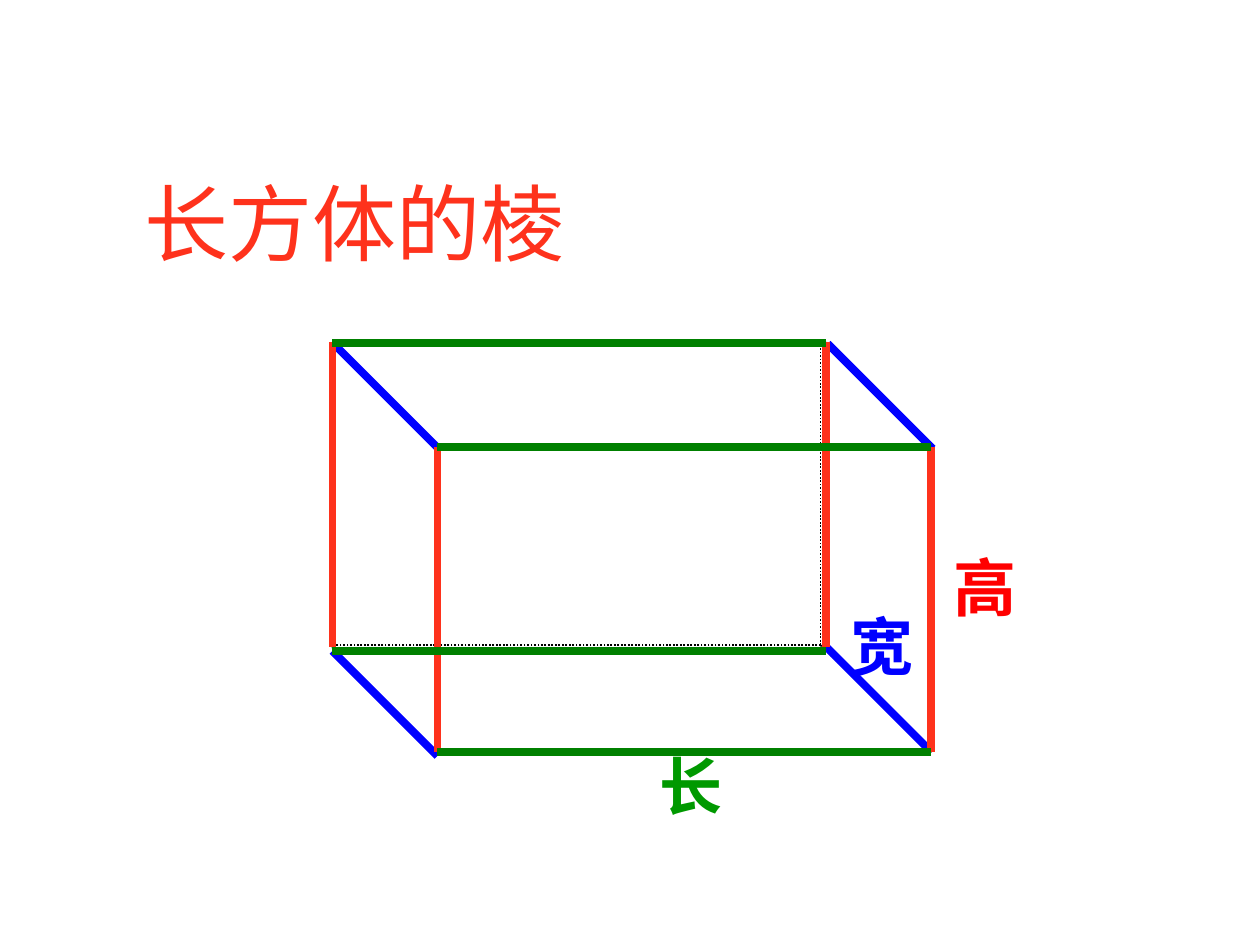
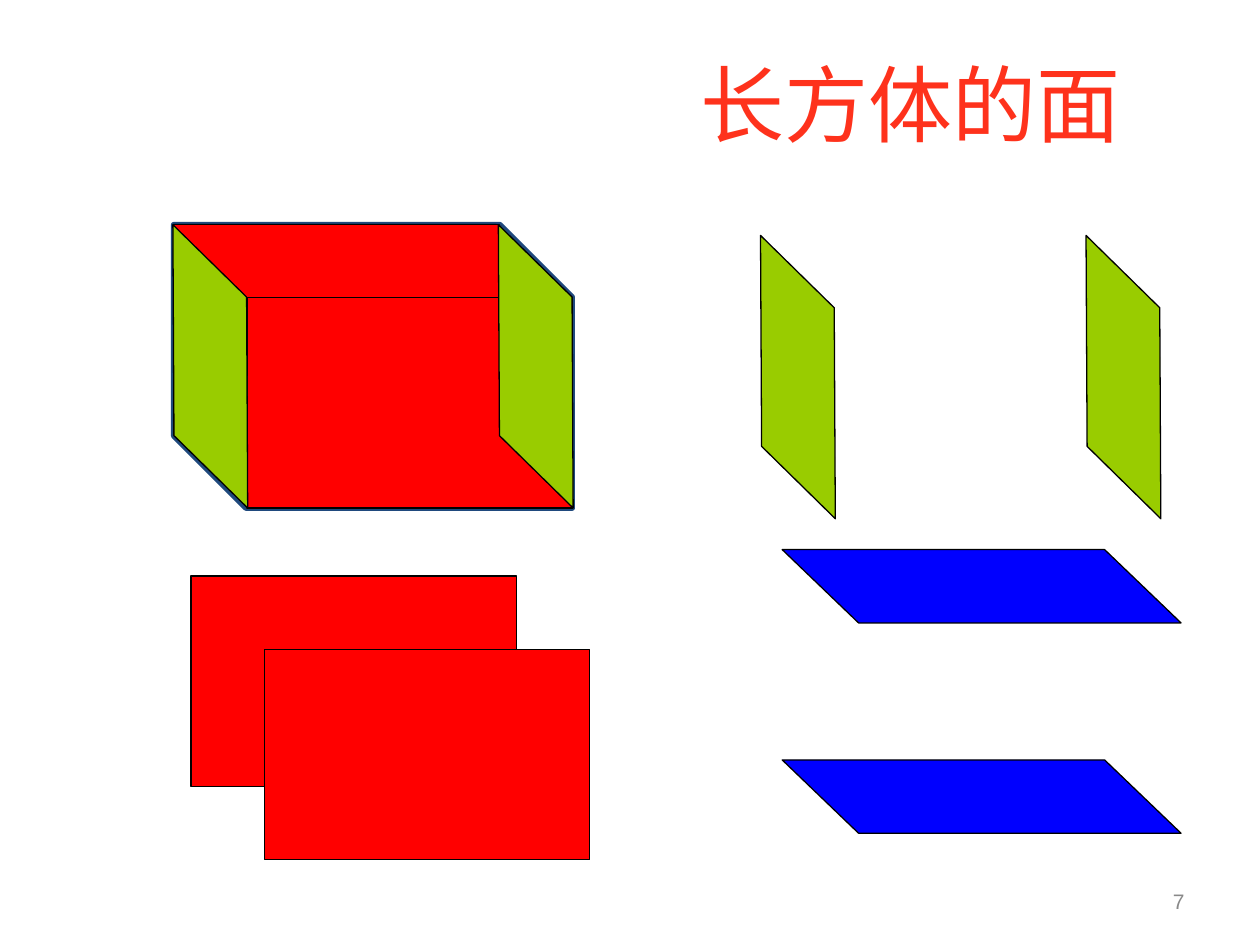
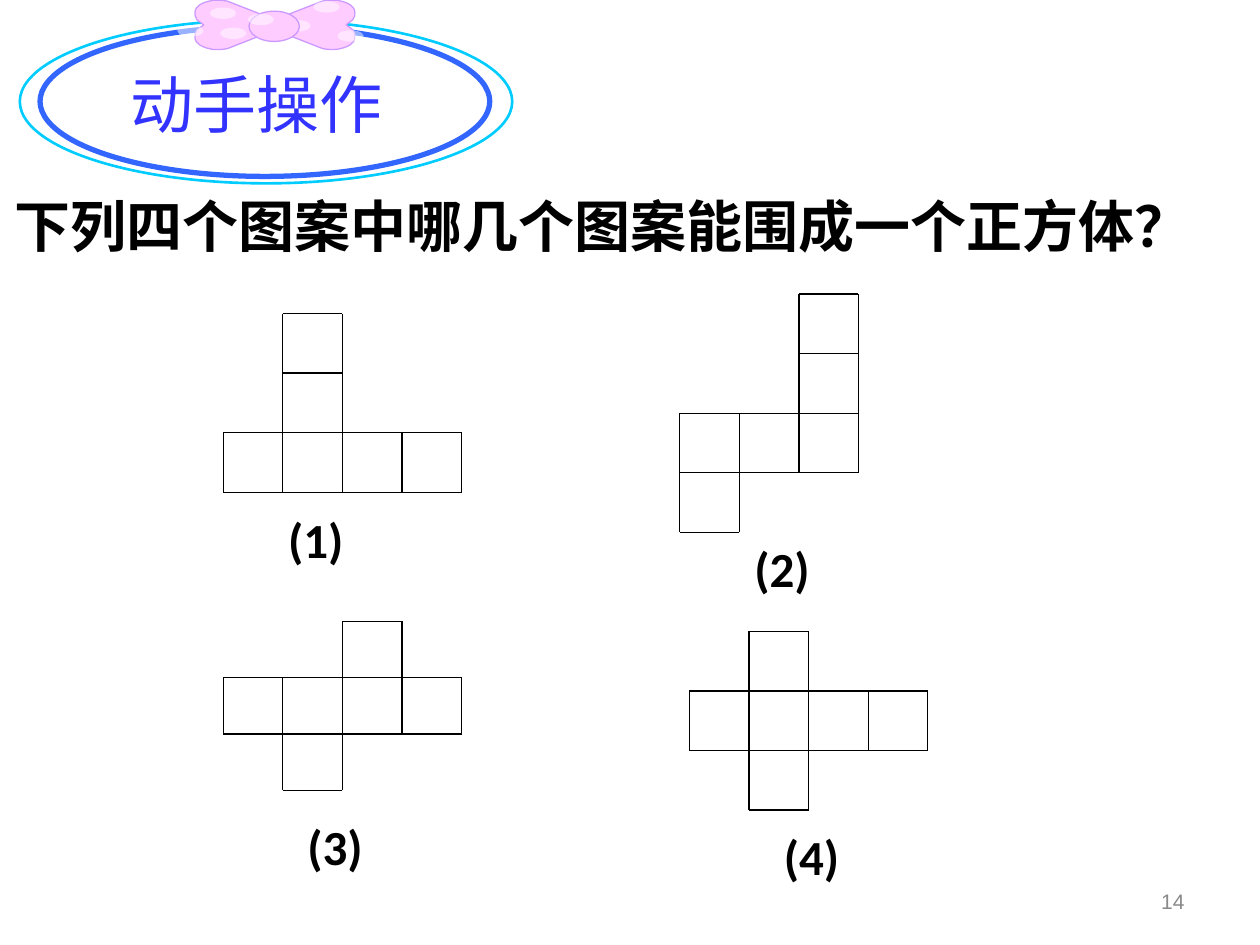
from lxml.etree import SubElement
from pptx import Presentation
from pptx.dml.color import RGBColor
from pptx.enum.dml import MSO_LINE
from pptx.enum.shapes import MSO_CONNECTOR, MSO_SHAPE
from pptx.enum.text import MSO_ANCHOR, MSO_AUTO_SIZE, PP_ALIGN
from pptx.oxml.ns import qn
from pptx.util import Pt

INK = {
    "title": "FE321C", "black": "000000", "navy": "1F497D", "grey": "898989",
    "long": "008000", "wide": "0000FF", "high": "FE321C",
    "green": "009900", "red": "FF0000", "blue": "0000FF", "lime": "99CC00",
    "cyan": "00CCFF", "royal": "3366FF", "violet": "3333FF",
    "pink": "FFCCFF", "lilac": "CC99FF", "white": "FFFFFF",
}
HAN = "Noto Sans CJK JP"
ROMAN = "Times New Roman"

HEAD = {"font": {"name": ROMAN, "size": Pt(48)}, "ink": "title",
        "para": {"alignment": PP_ALIGN.CENTER}}
BADGE = {"font": {"name": HAN, "size": Pt(36)}, "ink": "violet",
         "para": {"alignment": PP_ALIGN.LEFT}}
EDGE = {"font": {"name": ROMAN, "size": Pt(36), "bold": True}}
ASK = {"font": {"name": "Calibri", "size": Pt(32), "bold": True}, "ink": "black",
       "frame": {"word_wrap": False, "vertical_anchor": MSO_ANCHOR.MIDDLE}}
LABEL = {"font": {"name": "Calibri", "size": Pt(28), "bold": True}, "ink": "black",
         "frame": {"word_wrap": False}}
PAGE = {"font": {"name": "Arial", "size": Pt(12)}, "ink": "grey",
        "para": {"alignment": PP_ALIGN.RIGHT},
        "frame": {"vertical_anchor": MSO_ANCHOR.MIDDLE,
                  "auto_size": MSO_AUTO_SIZE.NONE}}
FRAME = {"word_wrap": True, "vertical_anchor": MSO_ANCHOR.TOP,
         "auto_size": MSO_AUTO_SIZE.SHAPE_TO_FIT_TEXT,
         "margin_left": Pt(7.2), "margin_right": Pt(7.2),
         "margin_top": Pt(3.6), "margin_bottom": Pt(3.6)}

FACE_W, FACE_H, DEPTH = 186, 120.2, 41.9
BODY_W, BODY_H = FACE_W + DEPTH, FACE_H + DEPTH

CELL = 34.05
NETS = [
    ("(1)", (157.5, 287.4), (127.6, 179.2), CELL,
     [(1, 2), (1, 2), (0, 4), (0, 4)],
     [(2, 3), (0, 3), (0, 3), (2, 3), (2, 3)]),
    ("(2)", (424, 304), (388.4, 168), CELL,
     [(2, 3), (2, 3), (0, 3), (0, 3), (0, 1)],
     [(2, 4), (2, 4), (0, 3), (0, 3)]),
    ("(3)", (168.5, 463), (127.6, 355.1), 32.15,
     [(2, 3), (0, 4), (0, 4), (1, 2)],
     [(1, 2), (1, 3), (0, 3), (0, 2), (1, 2)]),
    ("(4)", (440.8, 468.7), (394, 360.8), CELL,
     [(1, 2), (0, 4), (0, 4), (1, 2)],
     [(1, 2), (0, 3), (0, 3), (1, 2), (1, 2)]),
]

WING = 53.2
LOBE = [
    (34.5, -13.5),
    (37.5, -14.2), (40, -14.2), (43.2, -14),
    (45.5, -13.5), (48, -13), (50.4, -11.5),
    (52, -10.5), (WING, -9), (WING, -7),
    (WING, -5.8), (WING, -4.3), (52, -2.9),
    (51, -2), (49, -0.7), (48.2, 0),
]


def tint(ink):
    return RGBColor.from_string(INK[ink])


def apply(target, values):
    for name, value in values.items():
        setattr(target, name, value)


def write(shape, text, style, ink=None):
    frame = shape.text_frame
    apply(frame, FRAME | style.get("frame", {}))
    para = frame.paragraphs[0]
    apply(para, style.get("para", {}))
    run = para.add_run()
    run.text = text
    apply(run.font, style["font"])
    run.font.color.rgb = tint(ink or style["ink"])
    SubElement(run._r.get_or_add_rPr(), qn("a:ea")).set("typeface", HAN)


def place(shape, box):
    apply(shape, dict(zip(("left", "top", "width", "height"), map(Pt, box))))


def add_title(slide, text, box, style=HEAD):
    place(slide.shapes.title, box)
    write(slide.shapes.title, text, style)


def add_text(slide, text, box, style, ink=None):
    write(slide.shapes.add_textbox(*map(Pt, box)), text, style, ink)


def add_page(slide, number):
    add_text(slide, number, (516, 500.5, 168, 28.8), PAGE)


def paint(shape, fill=None, line=None, width=0.75):
    shape.shadow.inherit = False
    if fill:
        shape.fill.solid()
        shape.fill.fore_color.rgb = tint(fill)
    else:
        shape.fill.background()
    if line:
        shape.line.color.rgb = tint(line)
        shape.line.width = Pt(width)
    else:
        shape.line.fill.background()


def add_form(slide, kind, box, fill=None, line=None, width=0.75, bend=None):
    shape = slide.shapes.add_shape(kind, *map(Pt, box))
    paint(shape, fill, line, width)
    if bend:
        shape.adjustments[0] = bend
    return shape


def add_line(slide, start, end, ink="black", width=0.75, dash=None):
    line = slide.shapes.add_connector(
        MSO_CONNECTOR.STRAIGHT, *map(Pt, (*start, *end)))
    line.line.color.rgb = tint(ink)
    line.line.width = Pt(width)
    if dash:
        line.line.dash_style = dash
    SubElement(line._element.spPr, qn("a:effectLst"))


def add_cube(slide, box, width, hidden):
    cube = add_form(slide, MSO_SHAPE.CUBE, box, None, "navy", width, 0.255)
    cube._element.spPr.xfrm.set("flipH", "1")
    x, y, wide, high = box
    for end in ((hidden[0], y), (x, hidden[1]), (x + wide, y + high)):
        add_line(slide, hidden, end, "black", width, MSO_LINE.ROUND_DOT)


def add_front(slide, x, y):
    for step in (0, DEPTH):
        add_form(slide, MSO_SHAPE.RECTANGLE,
                 (x + step, y + step, FACE_W, FACE_H), "red", "black")


def add_sides(slide, x, y):
    shift = (BODY_H - DEPTH) / 2
    for step in (FACE_W, 0):
        side = add_form(slide, MSO_SHAPE.PARALLELOGRAM,
                        (x + step - shift, y + shift, BODY_H, DEPTH),
                        "lime", "black", bend=0.992)
        side.rotation = 89.7


def add_lids(slide, x, y):
    for step in (FACE_H, 0):
        lid = add_form(slide, MSO_SHAPE.PARALLELOGRAM,
                       (x, y + step, BODY_W, DEPTH), "blue", "black", bend=1.042)
        lid._element.spPr.xfrm.set("flipV", "1")


def add_net(slide, origin, tall, across, down):
    def spot(col, row):
        return origin[0] + col * CELL, origin[1] + row * tall

    for row, (first, last) in enumerate(across):
        add_line(slide, spot(first, row), spot(last, row))
    for col, (first, last) in enumerate(down):
        add_line(slide, spot(col, first), spot(col, last))


def bend_lines(shape):
    lines = list(shape._element.iter(qn("a:lnTo")))[1:]
    for first in range(0, len(lines), 3):
        group = lines[first:first + 3]
        group[0].tag = qn("a:cubicBezTo")
        for line in group[1:]:
            group[0].append(line[0])
            line.getparent().remove(line)


def add_wing(slide, x, y, side):
    mid, tip = x + side * WING / 2, y + WING / 2
    turn = [(dx, -dy) for dx, dy in reversed(LOBE[:-1])]
    dots = [(Pt(mid + dy), Pt(tip - dx)) for dx, dy in LOBE + turn]
    build = slide.shapes.build_freeform(Pt(mid), Pt(tip))
    build.add_line_segments(dots, close=True)
    wing = build.convert_to_shape()
    bend_lines(wing)
    wing.rotation = side * 90 % 360
    paint(wing, "pink", "lilac")


def add_shine(slide, spots):
    for spot in spots:
        glow = add_form(slide, MSO_SHAPE.OVAL, (*spot, 15, 6.5), "white")
        color = glow._element.spPr.find(".//" + qn("a:srgbClr"))
        SubElement(color, qn("a:alpha")).set("val", "50000")


def add_badge(slide):
    add_form(slide, MSO_SHAPE.OVAL, (11.3, 11.3, 281.4, 93.5), None, "cyan", 1.5)
    add_form(slide, MSO_SHAPE.OVAL, (22.9, 15.1, 257, 85.7), None, "royal", 3)
    for side in (1, -1):
        add_wing(slide, 157.1 - side * 7.5, 14.2, side)
    add_shine(slide, [(162.5, 11.5), (120, 4.3), (125.8, 15.8),
                      (179.1, 0.7), (192.8, 17.3)])
    add_form(slide, MSO_SHAPE.OVAL, (142.3, 6.4, 28.8, 17.3), "pink", "lilac")
    add_shine(slide, [(101.3, 14.4), (141.6, 7.9)])


def draw_edges(slide):
    add_title(slide, "长方体的棱", (19.4, 94.3, 366, 64.8))
    add_cube(slide, (190, 195.8, 342, 234), 1, (468.9, 368.7))
    for text, ink, x, y in (("长", "green", 370, 423.4),
                            ("高", "red", 537.8, 310),
                            ("宽", "blue", 478.8, 343.4)):
        add_text(slide, text, (x, y, 54, 50.4), EDGE, ink)
    edges = (
        ("wide", (60, 60), [(190, 195.8), (190, 372), (471.8, 369.3), (473, 196.4)]),
        ("high", (0, 174), [(190, 195.7), (250, 255.7), (532, 255.7), (471.8, 195.7)]),
        ("long", (282, 0), [(250, 429.5), (190, 196.2), (190, 372), (250, 255.6)]),
    )
    for ink, (dx, dy), starts in edges:
        for x, y in starts:
            add_line(slide, (x, y), (x + dx, y + dy), ink, 4.5)


def draw_faces(slide):
    add_title(slide, "长方体的面", (337.3, 26.2, 366, 64.8))
    x, y = 99.2, 128.3
    add_cube(slide, (x, y, BODY_W, BODY_H), 3, (x + FACE_W, y + FACE_H))
    add_lids(slide, x, y)
    add_front(slide, 109.2, 329.2)
    add_sides(slide, 435, 134.4)
    add_lids(slide, 447, 314.1)
    add_front(slide, x, y)
    add_sides(slide, x, y)
    add_page(slide, "7")


def draw_nets(slide):
    add_text(slide, "下列四个图案中哪几个图案能围成一个正方体？",
             (1, 105.9, 687, 46), ASK)
    for text, spot, origin, tall, across, down in NETS:
        add_net(slide, origin, tall, across, down)
        add_text(slide, text, (*spot, 46, 41), LABEL)
    add_badge(slide)
    add_title(slide, "动手操作", (67.3, 33.8, 185.8, 50.4), BADGE)
    add_page(slide, "14")


def main():
    deck = Presentation()
    deck.slide_width, deck.slide_height = Pt(720), Pt(540)
    for draw in (draw_edges, draw_faces, draw_nets):
        draw(deck.slides.add_slide(deck.slide_layouts[5]))
    deck.save("out.pptx")


if __name__ == "__main__":
    main()
